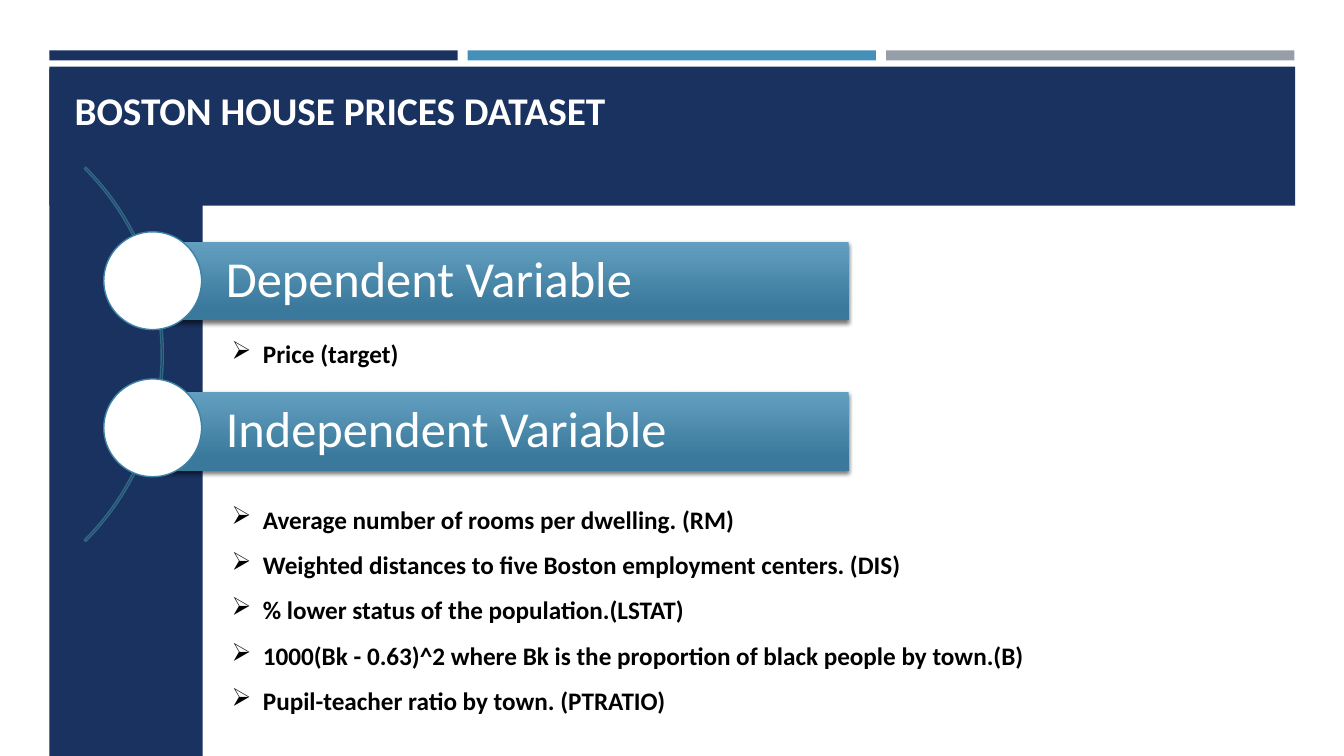
from dataclasses import dataclass

import lxml.etree
import pptx
import pptx.dml.color
import pptx.enum.shapes
import pptx.enum.text
import pptx.oxml.ns
import pptx.shapes.autoshape
import pptx.slide
import pptx.text.text
import pptx.util

COLORS = {
    "navy": "1A3260",
    "blue": "4590B8",
    "gray": "969FA7",
    "white": "FFFFFF",
    "black": "000000",
    "banner top": "639FC1",
    "banner bottom": "3A799B",
    "arc": "316884",
    "ring": "3E82A6",
}
CELL = pptx.util.Inches(0.1)  # one column or row of the page grid
PAGE_COLUMNS, PAGE_ROWS = 133.33, 75
SHAPES = pptx.enum.shapes.MSO_SHAPE
ANCHORS = pptx.enum.text.MSO_ANCHOR
qn = pptx.oxml.ns.qn


@dataclass
class Area:
    column: float
    row: float
    columns: float
    rows: float

    def lengths(self) -> list[int]:
        return [round(n * CELL) for n in (self.column, self.row, self.columns, self.rows)]


@dataclass
class Section:
    heading: str
    banner_row: float
    circle_row: float
    list_area: Area
    line_spacing: float
    items: list[str]


STRIPE_COLORS = ["navy", "blue", "gray"]
STRIPE_COLUMNS, STRIPE_PITCH = 40.5, 41.5
LEFT_MARGIN = 4.9
SECTIONS = [
    Section("Dependent Variable", 24, 23, Area(22, 33.1, 52.6, 4), 1.0, ["Price (target)"]),
    Section(
        "Independent Variable", 38.9, 37.6, Area(22, 48, 93.6, 26.8), 1.5,
        [
            "Average number of rooms per dwelling. (RM)",
            "Weighted distances to five Boston employment centers. (DIS)",
            "% lower status of the population.(LSTAT)",
            "1000(Bk - 0.63)^2 where Bk is the proportion of black people by town.(B)",
            "Pupil-teacher ratio by town. (PTRATIO)",
        ],
    ),
]


def rgb(name: str) -> pptx.dml.color.RGBColor:
    return pptx.dml.color.RGBColor.from_string(COLORS[name])


def set_all(target: object, values: dict) -> None:
    for name, value in values.items():
        setattr(target, name, value)


def add_figure(shapes, kind, area: Area, fill: str = "", line: str = "") -> pptx.shapes.autoshape.Shape:
    """Add a shadowless preset shape; an empty colour name means none."""
    figure = shapes.add_shape(kind, *area.lengths())
    figure.shadow.inherit = False
    if fill:
        figure.fill.solid()
        figure.fill.fore_color.rgb = rgb(fill)
    else:
        figure.fill.background()
    if line:
        figure.line.color.rgb = rgb(line)
        figure.line.width = pptx.util.Pt(1)
    else:
        figure.line.fill.background()
    return figure


def write(para: pptx.text.text._Paragraph, text: str, size: int, color: str, bold: bool) -> None:
    span = para.add_run()
    span.text = text
    set_all(span.font, {"name": "Calibri", "size": pptx.util.Pt(size), "bold": bold})
    span.font.color.rgb = rgb(color)


def add_drop_shadow(figure: pptx.shapes.autoshape.Shape) -> None:
    effects = figure.element.spPr.find(qn("a:effectLst"))
    shadow = lxml.etree.SubElement(
        effects, qn("a:outerShdw"),
        blurRad=str(pptx.util.Pt(3)), dist=str(pptx.util.Pt(2)), dir="5400000", rotWithShape="0",
    )
    color = lxml.etree.SubElement(shadow, qn("a:srgbClr"), val=COLORS["black"])
    lxml.etree.SubElement(color, qn("a:alpha"), val="55000")


def add_banner(page: pptx.slide.Slide, section: Section) -> None:
    group = page.shapes.add_group_shape()
    bar = add_figure(group.shapes, SHAPES.RECTANGLE, Area(15.2, section.banner_row, 69, 7.8))
    bar.fill.gradient()
    bar.fill.gradient_angle = 270
    stops = [("banner top", 0), ("banner bottom", 0.84)]
    for stop, (color, position) in zip(bar.fill.gradient_stops, stops):
        stop.color.rgb = rgb(color)
        stop.position = position
    add_drop_shadow(bar)

    label_area = Area(16.2, section.banner_row - 0.4, 69, 7.8)
    frame = group.shapes.add_textbox(*label_area.lengths()).text_frame
    set_all(frame, {
        "word_wrap": True,
        "vertical_anchor": ANCHORS.MIDDLE,
        "margin_left": pptx.util.Inches(0.62),
        "margin_top": CELL,
        "margin_bottom": CELL,
    })
    write(frame.paragraphs[0], section.heading, 36, "white", False)


def add_list(page: pptx.slide.Slide, section: Section) -> None:
    frame = page.shapes.add_textbox(*section.list_area.lengths()).text_frame
    frame.word_wrap = True
    indent = pptx.util.Inches(0.31)
    for index, item in enumerate(section.items):
        para = frame.add_paragraph() if index else frame.paragraphs[0]
        para.line_spacing = section.line_spacing
        properties = para._p.get_or_add_pPr()
        properties.set("marL", str(indent))
        properties.set("indent", str(-indent))
        lxml.etree.SubElement(properties, qn("a:buChar"), char="➢")
        write(para, item, 18, "black", True)


def add_title(page: pptx.slide.Slide, text: str) -> None:
    title = page.shapes.title
    set_all(title, dict(zip(("left", "top", "width", "height"), Area(6.4, 8.1, 120.6, 5.7).lengths())))
    set_all(title.text_frame, {"word_wrap": True, "vertical_anchor": ANCHORS.BOTTOM})
    para = title.text_frame.paragraphs[0]
    set_all(para, {"alignment": pptx.enum.text.PP_ALIGN.LEFT, "line_spacing": 0.9})
    write(para, text, 28, "white", True)
    # Bring the title in front of the panels drawn so far
    page.shapes._spTree.append(title.element)


def main() -> None:
    deck = pptx.Presentation()
    deck.slide_width = round(PAGE_COLUMNS * CELL)
    deck.slide_height = PAGE_ROWS * CELL
    page = deck.slides.add_slide(deck.slide_layouts[5])

    for index, color in enumerate(STRIPE_COLORS):
        stripe = Area(LEFT_MARGIN + index * STRIPE_PITCH, 5, STRIPE_COLUMNS, 1)
        add_figure(page.shapes, SHAPES.RECTANGLE, stripe, color)
    for panel in (Area(LEFT_MARGIN, 6.6, 123.6, 13.8), Area(LEFT_MARGIN, 6.8, 15.2, 68.2)):
        add_figure(page.shapes, SHAPES.RECTANGLE, panel, "navy")
    add_title(page, "BOSTON HOUSE PRICES DATASET")

    for section in SECTIONS:
        add_banner(page, section)
    for section in SECTIONS:
        add_list(page, section)

    arc = add_figure(page.shapes, SHAPES.BLOCK_ARC, Area(-36.3, 8.9, 52.5, 52.5), line="arc")
    for index, value in enumerate((189, 27, 0.004)):
        arc.adjustments[index] = value
    for section in SECTIONS:
        add_figure(page.shapes, SHAPES.OVAL, Area(10.3, section.circle_row, 9.7, 9.7), "white", "ring")

    deck.save("out.pptx")


if __name__ == "__main__":
    main()
